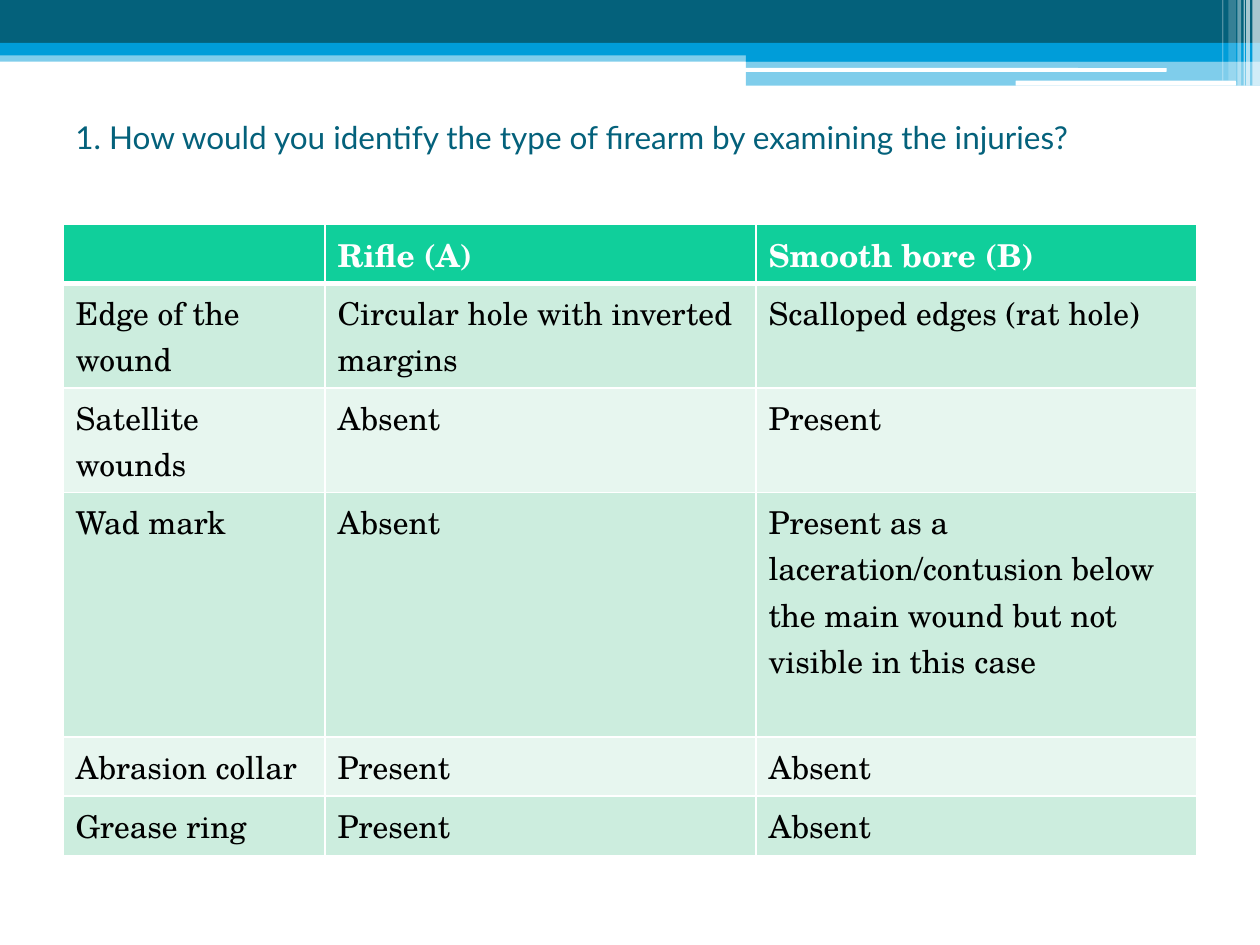
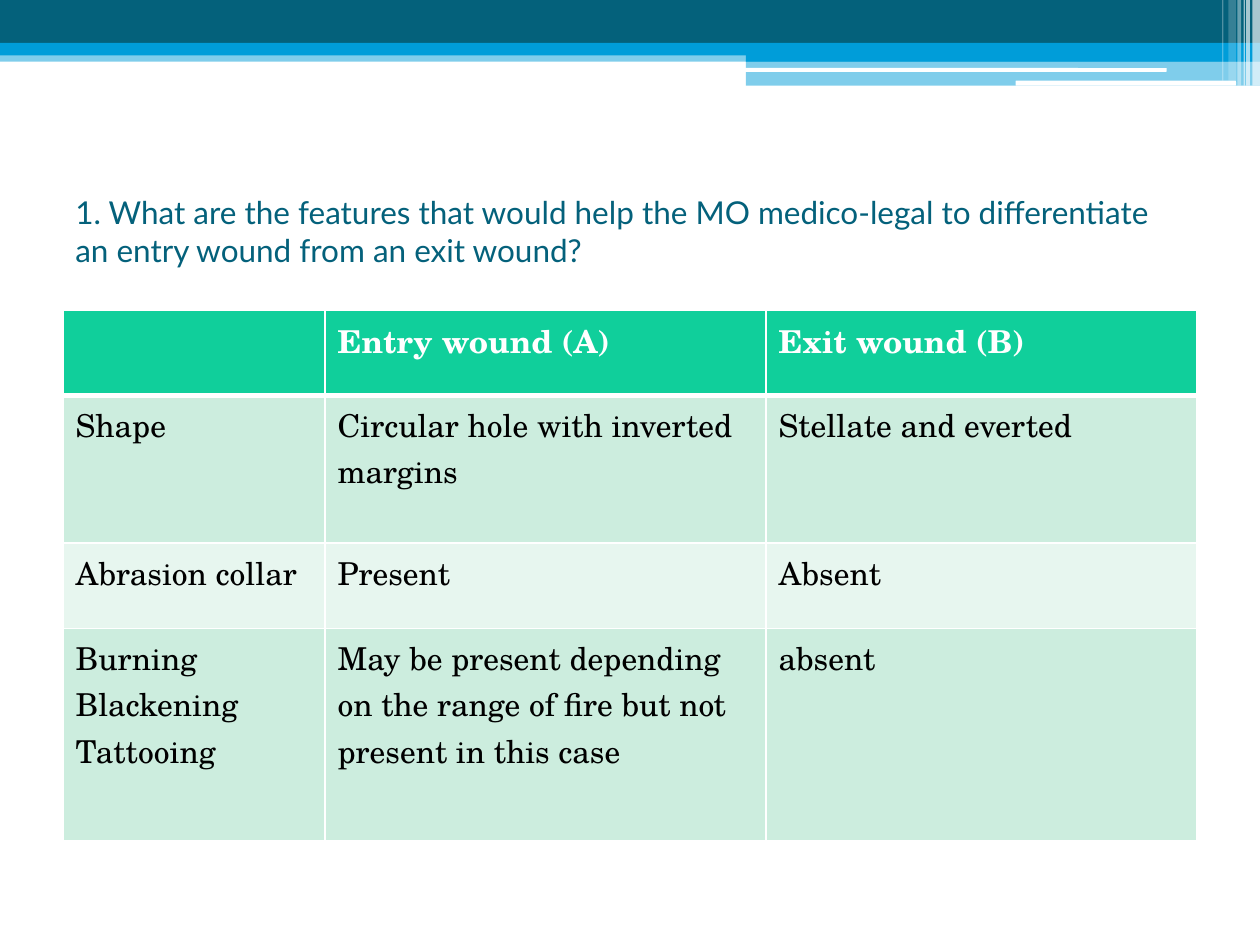
from dataclasses import dataclass

from lxml import etree
from pptx import Presentation
from pptx.dml.color import RGBColor
from pptx.enum.shapes import MSO_SHAPE
from pptx.enum.text import MSO_ANCHOR
from pptx.oxml.ns import qn
from pptx.util import Emu, Pt

RECT = MSO_SHAPE.RECTANGLE
ROUND = MSO_SHAPE.ROUNDED_RECTANGLE
MIDDLE = MSO_ANCHOR.MIDDLE

PX = 9144  # EMU in one px, 100 px to the inch
BLANK = 6


@dataclass(frozen=True)
class Theme:
    navy: str = "04617B"
    blue: str = "009DD9"
    white: str = "FFFFFF"
    black: str = "000000"
    header: str = "10CF9B"
    bands: tuple = ("CCEDDE", "E7F6EF")
    title_font: str = "Lato"
    body_font: str = "TeX Gyre Schola"
    size: int = 18
    rule: int = 1
    header_rule: int = 3


def px(n):
    return Emu(n * PX)


class Deck:
    def __init__(self, theme):
        self.theme = theme
        self.prs = Presentation()
        self.prs.slide_width, self.prs.slide_height = px(1000), px(750)
        self.s = None

    def slide(self):
        self.s = self.prs.slides.add_slide(self.prs.slide_layouts[BLANK])
        self.banner()

    def bar(self, x, y, w, h, color, alpha=100, shape=RECT):
        sp = self.s.shapes.add_shape(shape, px(x), px(y), px(w), px(h))
        sp.shadow.inherit = False
        sp.line.fill.background()
        sp.fill.solid()
        sp.fill.fore_color.rgb = RGBColor.from_string(color)
        if alpha < 100:
            clr = sp.fill._xPr.find(".//" + qn("a:srgbClr"))
            etree.SubElement(clr, qn("a:alpha"), val=str(alpha * 1000))

    def banner(self):
        t = self.theme
        # Full-width bands and the step on the right
        self.bar(0, 40, 1000, 9, t.blue, 50)
        self.bar(0, 0, 1000, 34, t.navy)
        self.bar(0, 34, 1000, 10, t.blue)
        self.bar(592, 39, 408, 10, t.blue)
        self.bar(592, 48, 408, 20, t.blue, 50)
        # White streaks
        self.bar(591, 54, 335, 3, t.white, shape=ROUND)
        self.bar(806, 64, 175, 4, t.white, shape=ROUND)
        # Translucent stripes at the right edge
        for x, w, h, alpha in ((994, 6, 68, 65), (989, 3, 68, 65), (987, 1, 68, 60),
                               (982, 3, 68, 40), (975, 6, 64, 20), (970, 1, 64, 30)):
            self.bar(x, 0, w, h, t.white, alpha)

    def style(self, p, font, color, bold=False):
        for r in p.runs:
            r.font.name = font
            r.font.size = Pt(self.theme.size)
            r.font.bold = bold
            r.font.color.rgb = RGBColor.from_string(color)

    def title(self, text, y):
        tf = self.s.shapes.add_textbox(px(50), px(y), px(900), px(117)).text_frame
        tf.word_wrap = True
        tf.vertical_anchor = MIDDLE
        tf.text = text
        self.style(tf.paragraphs[0], self.theme.title_font, self.theme.navy)

    def borders(self, cell, row):
        t = self.theme
        top = t.header_rule if row == 1 else t.rule
        bottom = t.header_rule if row == 0 else t.rule
        tcPr = cell._tc.get_or_add_tcPr()
        sides = (("L", t.rule), ("R", t.rule), ("T", top), ("B", bottom))
        for i, (side, width) in enumerate(sides):
            ln = etree.Element(qn("a:ln" + side), w=str(Pt(width)))
            fill = etree.SubElement(ln, qn("a:solidFill"))
            etree.SubElement(fill, qn("a:srgbClr"), val=t.white)
            tcPr.insert(i, ln)

    def table(self, y, widths, heights, rows):
        t = self.theme
        tbl = self.s.shapes.add_table(len(rows), len(widths), px(50), px(y),
                                      px(sum(widths)), px(sum(heights))).table
        tbl.horz_banding = False
        for col, w in zip(tbl.columns, widths):
            col.width = px(w)
        for i, (row, h) in enumerate(zip(rows, heights)):
            tbl.rows[i].height = px(h)
            head = i == 0
            for j, text in enumerate(row):
                cell = tbl.cell(i, j)
                cell.text = text
                cell.fill.solid()
                color = t.header if head else t.bands[(i - 1) % 2]
                cell.fill.fore_color.rgb = RGBColor.from_string(color)
                self.borders(cell, i)
                self.style(cell.text_frame.paragraphs[0], t.body_font,
                           t.white if head else t.black, head)


def main():
    deck = Deck(Theme())

    # Rifle against smooth bore
    deck.slide()
    deck.title("1. How would you identify the type of firearm by examining the injuries?", 50)
    deck.table(178, (208, 342, 350), (47, 83, 83, 194, 47, 47), (
        ("", "Rifle (A)", "Smooth bore (B)"),
        ("Edge of the wound", "Circular hole with inverted margins",
         "Scalloped edges (rat hole)"),
        ("Satellite wounds", "Absent", "Present"),
        ("Wad mark", "Absent", "Present as a laceration/contusion below the main wound "
         "but not visible in this case"),
        ("Abrasion collar", "Present", "Absent"),
        ("Grease ring", "Present", "Absent"),
    ))

    # Entry against exit wound
    deck.slide()
    deck.title("1. What are the features that would help the MO medico-legal to "
               "differentiate an entry wound from an exit wound?", 125)
    deck.table(246, (208, 350, 342), (68, 117, 68, 168), (
        ("", "Entry wound (A)", "Exit wound (B)"),
        ("Shape", "Circular hole with inverted margins", "Stellate and everted"),
        ("Abrasion collar", "Present", "Absent"),
        ("Burning Blackening Tattooing", "May be present depending on the range of fire "
         "but not present in this case", "absent"),
    ))

    deck.prs.save("out.pptx")


if __name__ == "__main__":
    main()
